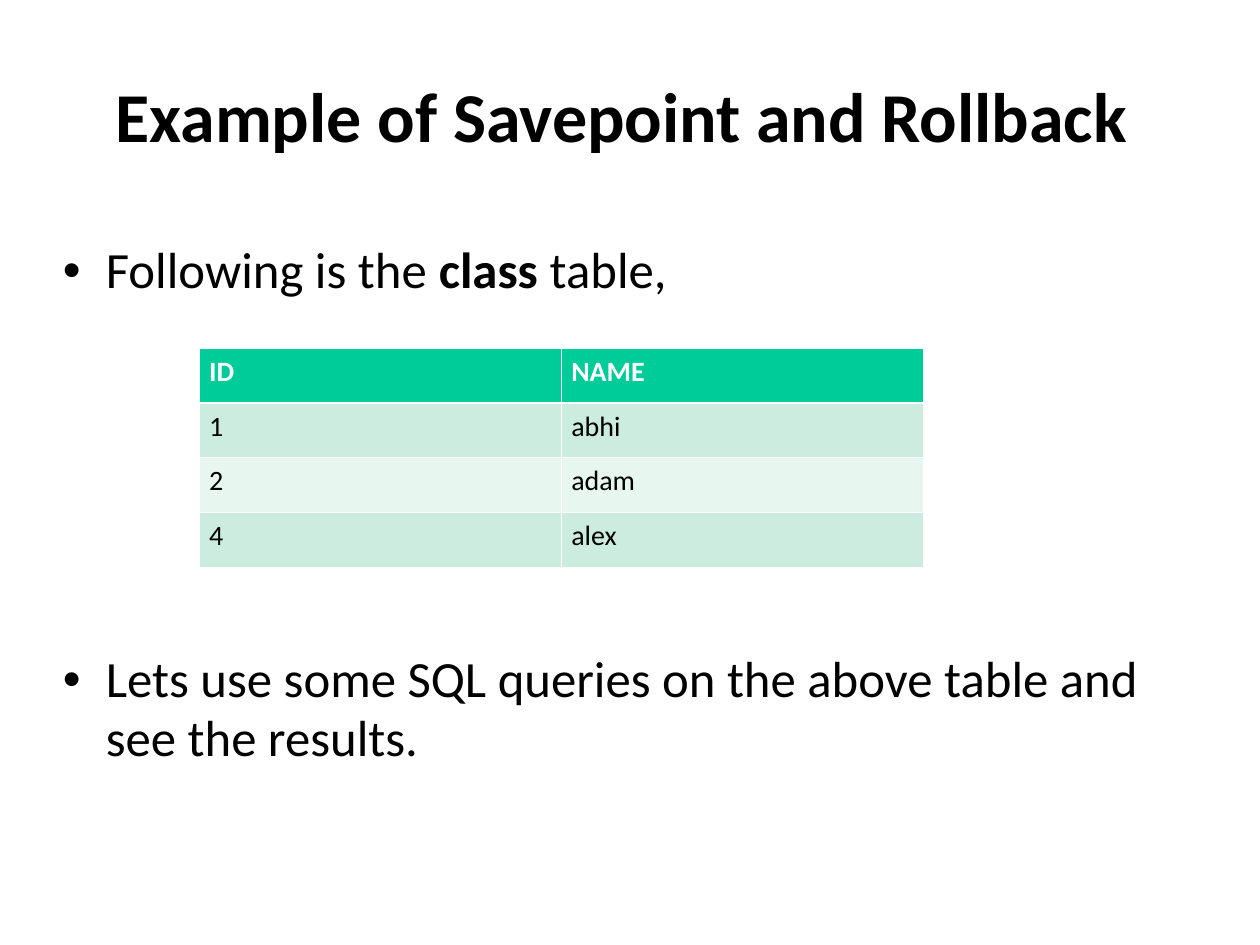
from pptx import Presentation
from pptx.dml.color import RGBColor
from pptx.enum.text import MSO_ANCHOR, MSO_AUTO_SIZE, PP_ALIGN
from pptx.oxml.xmlchemy import OxmlElement
from pptx.util import Inches, Pt

BLACK = RGBColor(0x00, 0x00, 0x00)
WHITE = RGBColor(0xFF, 0xFF, 0xFF)
GREEN = RGBColor(0x00, 0xCC, 0x99)
BANDS = (RGBColor(0xCB, 0xEC, 0xDE), RGBColor(0xE7, 0xF6, 0xEF))

WIDTH, HEIGHT = Inches(10), Inches(7.5)
LEFT, CONTENT_WIDTH = 0.05 * WIDTH, 0.886 * WIDTH
LINE_SPACING = 0.97
INDENT = Inches(0.34)
TABLE_GAP = Pt(187)  # room left for the table between the two bullets
THIN, THICK = Pt(0.45), Pt(1.47)

BULLETS = [
    ([("Following is the\u00a0".replace("\u00a0", " "), False), ("class", True), (" table,", False)], 0),
    ([("Lets use some SQL queries on the above table and see the results.", False)], TABLE_GAP),
]
ROWS = [("ID", "NAME"), ("1", "abhi"), ("2", "adam"), ("4", "alex")]


def set_attrs(obj, values):
    for name, value in values.items():
        setattr(obj, name, value)


def set_font(font, size, color, bold=False):
    set_attrs(font, {"name": "Calibri", "size": Pt(size), "bold": bold})
    font.color.rgb = color


def place(sp, box):
    set_attrs(sp, dict(zip(("left", "top", "width", "height"), map(int, box))))


def add_title(slide, box, text):
    sp = slide.shapes.title
    place(sp, box)
    tf = sp.text_frame
    set_attrs(tf, {"auto_size": MSO_AUTO_SIZE.NONE, "word_wrap": True,
                   "vertical_anchor": MSO_ANCHOR.MIDDLE})
    p = tf.paragraphs[0]
    set_attrs(p, {"alignment": PP_ALIGN.CENTER, "line_spacing": LINE_SPACING})
    r = p.add_run()
    r.text = text
    set_font(r.font, 40, BLACK, True)


def add_bullet(p):
    pPr = p._p.get_or_add_pPr()
    pPr.set("marL", str(INDENT))
    pPr.set("indent", str(-INDENT))
    for tag, key, value in (("a:buFont", "typeface", "Arial"), ("a:buChar", "char", "•")):
        el = OxmlElement(tag)
        el.set(key, value)
        pPr.append(el)


def add_bullets(slide, box, bullets):
    tf = slide.shapes.add_textbox(*map(int, box)).text_frame
    set_attrs(tf, {"word_wrap": True, "margin_left": 0, "margin_right": 0,
                   "margin_top": Inches(0.17), "margin_bottom": 0})
    for i, (runs, gap) in enumerate(bullets):
        p = tf.add_paragraph() if i else tf.paragraphs[0]
        add_bullet(p)
        set_attrs(p, {"line_spacing": LINE_SPACING, "space_before": gap,
                      "space_after": Pt(12.9)})
        for text, bold in runs:
            r = p.add_run()
            r.text = text
            set_font(r.font, 29, BLACK, bold)


def add_borders(cell, widths):
    tcPr = cell._tc.get_or_add_tcPr()
    for i, (side, width) in enumerate(widths.items()):
        ln = OxmlElement(f"a:ln{side}")
        ln.set("w", str(width))
        fill = OxmlElement("a:solidFill")
        color = OxmlElement("a:srgbClr")
        color.set("val", str(WHITE))
        fill.append(color)
        ln.append(fill)
        tcPr.insert(i, ln)  # borders come before the cell fill


def add_data_table(slide, box, rows):
    table = slide.shapes.add_table(len(rows), len(rows[0]), *map(int, box)).table
    for i, row in enumerate(rows):
        for j, text in enumerate(row):
            header = i == 0
            cell = table.cell(i, j)
            set_attrs(cell, {"margin_left": Inches(0.08), "margin_right": Inches(0.08)})
            cell.fill.solid()
            cell.fill.fore_color.rgb = GREEN if header else BANDS[(i - 1) % 2]
            add_borders(cell, {"L": THIN, "R": THIN, "T": THICK if i == 1 else THIN,
                               "B": THICK if header else THIN})
            r = cell.text_frame.paragraphs[0].add_run()
            r.text = text
            set_font(r.font, 16, WHITE if header else BLACK, header)


def main():
    prs = Presentation()
    set_attrs(prs, {"slide_width": WIDTH, "slide_height": HEIGHT})
    slide = prs.slides.add_slide(prs.slide_layouts[5])
    # Title
    add_title(slide, (LEFT, 0.07 * HEIGHT, CONTENT_WIDTH, 0.11 * HEIGHT),
              "Example of Savepoint and Rollback")
    # Bullets above and below the table
    add_bullets(slide, (LEFT, 0.233 * HEIGHT, CONTENT_WIDTH, 0.643 * HEIGHT), BULLETS)
    # Class table
    add_data_table(slide, (0.158 * WIDTH, 0.369 * HEIGHT, 0.575 * WIDTH, 0.231 * HEIGHT), ROWS)
    prs.save("out.pptx")


if __name__ == "__main__":
    main()
